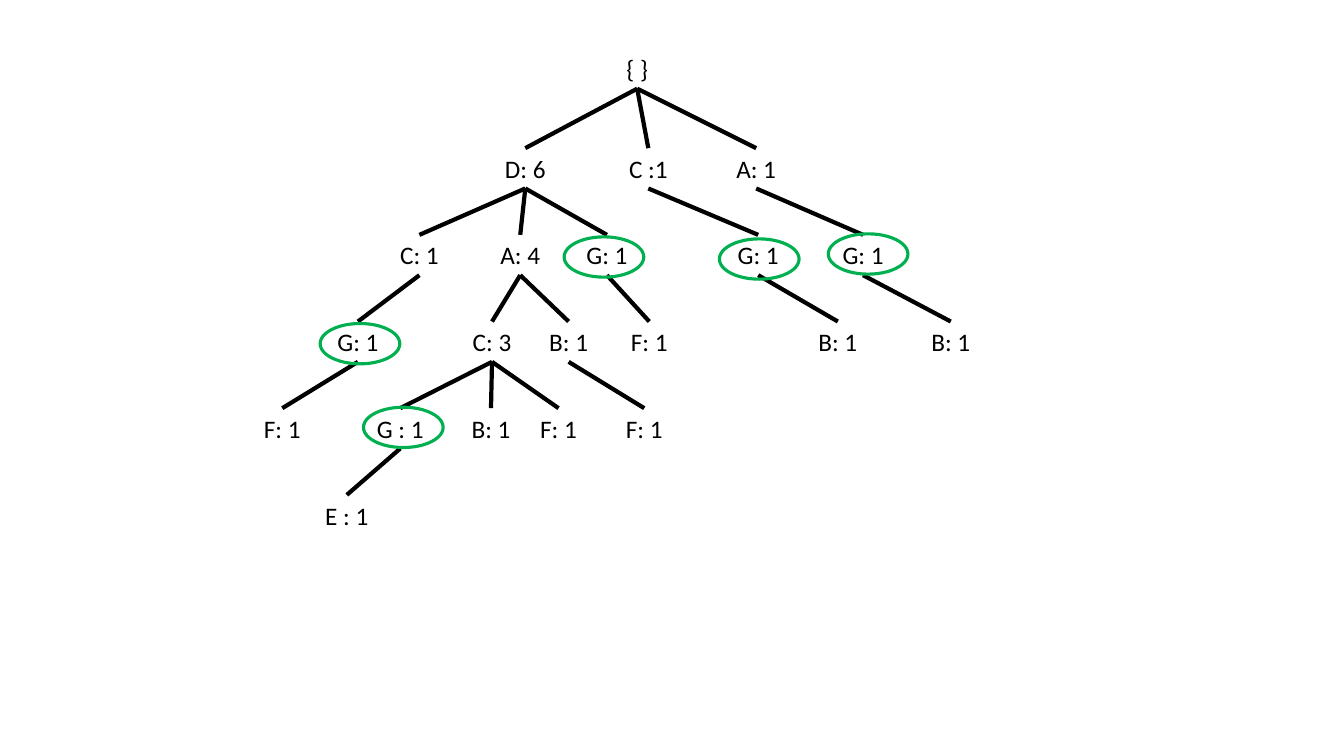
from collections import namedtuple

from lxml.etree import SubElement
from pptx import Presentation
from pptx.dml.color import RGBColor
from pptx.enum.shapes import MSO_CONNECTOR, MSO_SHAPE
from pptx.enum.text import MSO_AUTO_SIZE, PP_ALIGN
from pptx.oxml.ns import qn
from pptx.util import Inches, Pt

BLACK = RGBColor(0x00, 0x00, 0x00)
GREEN = RGBColor(0x00, 0xB0, 0x50)

LABEL_FRAME = {"word_wrap": False, "auto_size": MSO_AUTO_SIZE.SHAPE_TO_FIT_TEXT}
LABEL_FONT = {"name": "Calibri", "size": Pt(18)}

# The tree's box is divided into square cells, 80 of them across
COLUMNS = 80
ROOT_GAP, LEVEL_GAP = 9.9, 8.6
LABEL_HEIGHT = 4
RING_WIDTH, RING_HEIGHT = 7.9, 4
LABEL_WIDTHS = {"{": 4.2, "A": 6, "D": 6.1, "F": 5.7, "G": 6.2}
OTHER_WIDTH, SPACED_EXTRA = 5.9, 0.5

Box = namedtuple("Box", "left top width")
# center: column of the label's middle; ring: offset of its ring, if any
Node = namedtuple("Node", "label center children ring", defaults=((), None))

PATTERN_TREE = Node("{ }", 43.2, (
    Node("D: 6", 32.1, (
        Node("C: 1", 21.6, (
            Node("G: 1", 15.5, (Node("F: 1", 8),), (0.2, 0.2)),
        )),
        Node("A: 4", 31.6, (
            Node("C: 3", 28.8, (
                Node("G : 1", 19.7, (Node("E : 1", 14.4),), (0.3, -0.1)),
                Node("B: 1", 28.7),
                Node("F: 1", 35.4),
            )),
            Node("B: 1", 36.4, (Node("F: 1", 43.9),)),
        )),
        Node("G: 1", 40.2, (Node("F: 1", 44.4),), (-0.3, 0.2)),
    )),
    Node("C :1", 44.3, (
        Node("G: 1", 55.2, (Node("B: 1", 63.1),), (0.1, 0.4)),
    )),
    Node("A: 1", 55, (
        Node("G: 1", 65.6, (Node("B: 1", 74.3),), (0.5, -0.1)),
    )),
))


def apply_format(target, values):
    for attribute, value in values.items():
        setattr(target, attribute, value)


def format_line(line, color, width):
    line.color.rgb = color
    line.width = Pt(width)


def label_width(label):
    width = LABEL_WIDTHS.get(label[0], OTHER_WIDTH)
    return width + SPACED_EXTRA if " : " in label else width


def level_row(level):
    return ROOT_GAP + (level - 1) * LEVEL_GAP if level else 0


def walk(node, level=0):
    """Yield every node of the tree with its level."""
    yield node, level
    for child in node.children:
        yield from walk(child, level + 1)


def draw_tree(shapes, root, box):
    cell = box.width / COLUMNS

    def place(column, row):
        return int(box.left + column * cell), int(box.top + row * cell)

    def centered(center, row, width, height):
        return (*place(center - width / 2, row),
                int(width * cell), int(height * cell))

    nodes = list(walk(root))

    # Branches and labels
    for node, level in nodes:
        row = level_row(level)
        for child in node.children:
            branch = shapes.add_connector(
                MSO_CONNECTOR.STRAIGHT,
                *place(node.center, row + LABEL_HEIGHT),
                *place(child.center, level_row(level + 1)))
            format_line(branch.line, BLACK, 3)
            SubElement(branch._element.spPr, qn("a:effectLst"))

        label = shapes.add_textbox(
            *centered(node.center, row, label_width(node.label), LABEL_HEIGHT))
        apply_format(label.text_frame, LABEL_FRAME)
        paragraph = label.text_frame.paragraphs[0]
        paragraph.alignment = PP_ALIGN.CENTER
        run = paragraph.add_run()
        run.text = node.label
        apply_format(run.font, LABEL_FONT)
        run.font.color.rgb = BLACK

    # Rings around the G items, in front of the branches
    for node, level in nodes:
        if node.ring:
            across, down = node.ring
            ring = shapes.add_shape(MSO_SHAPE.OVAL, *centered(
                node.center + across, level_row(level) + down,
                RING_WIDTH, RING_HEIGHT))
            ring.shadow.inherit = False
            ring.fill.background()
            format_line(ring.line, GREEN, 2.25)


def main():
    presentation = Presentation()
    presentation.slide_width = Inches(13.33)
    presentation.slide_height = Inches(7.5)
    slide = presentation.slides.add_slide(presentation.slide_layouts[6])
    draw_tree(slide.shapes, PATTERN_TREE,
              Box(Inches(2), Inches(0.48), Inches(8)))
    presentation.save("out.pptx")


if __name__ == "__main__":
    main()
